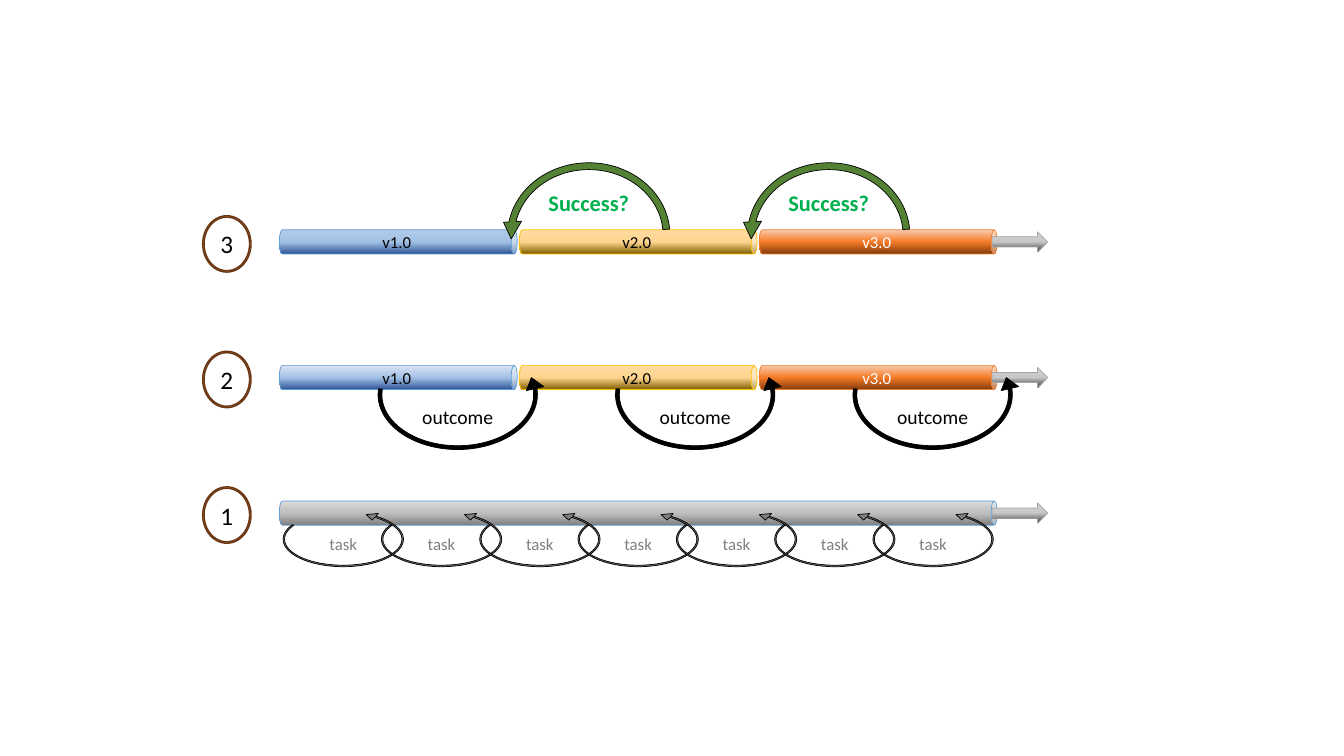
import copy

import pptx
import pptx.dml.color
import pptx.enum.shapes
import pptx.enum.text
import pptx.oxml.ns
import pptx.util

RGBColor = pptx.dml.color.RGBColor
Inches = pptx.util.Inches
Pt = pptx.util.Pt
SHAPES = pptx.enum.shapes.MSO_SHAPE
ANCHOR = pptx.enum.text.MSO_ANCHOR

BLACK = RGBColor(0x00, 0x00, 0x00)
WHITE = RGBColor(0xFF, 0xFF, 0xFF)
GRAY = RGBColor(0x80, 0x80, 0x80)
SILVER = RGBColor(0xA5, 0xA5, 0xA5)
BLUE = RGBColor(0x5B, 0x9B, 0xD5)
GOLD = RGBColor(0xFF, 0xC0, 0x00)
ORANGE = RGBColor(0xED, 0x7D, 0x31)
BROWN = RGBColor(0x68, 0x37, 0x15)
DARK_GREEN = RGBColor(0x54, 0x82, 0x35)
GREEN = RGBColor(0x00, 0xB0, 0x50)


def gradient(*codes):
    return [RGBColor.from_string(code) for code in codes]


BLUE_SHADES = gradient("B1CBE9", "A3C1E5", "2F5597")
PALE_BLUE_SHADES = gradient("DAE3F3", "A3C1E5", "2F5597")
GOLD_SHADES = gradient("FFDB9E", "FFD590", "806000")
ORANGE_SHADES = gradient("F8CBAD", "F67B28", "843C0B")
GRAY_SHADES = gradient("D9D9D9", "BFBFBF", "808080")
ARROW_SHADES = gradient("D2D2D2", "C8C8C8", "3B3838")

LATER_VERSIONS = [("v2.0", GOLD_SHADES, GOLD, BLACK),
                  ("v3.0", ORANGE_SHADES, ORANGE, WHITE)]
# From top to bottom: number, pipes as (label, shades, outline, text colour)
ROWS = [
    ("3", [("v1.0", BLUE_SHADES, BLUE, BLACK)] + LATER_VERSIONS),
    ("2", [("v1.0", PALE_BLUE_SHADES, BLUE, BLACK)] + LATER_VERSIONS),
    ("1", [("", GRAY_SHADES, BLUE, BLACK)]),
]
# Loops of each row: text, count, first left, pitch, top, width, height,
# adjustments, fill, text format
LOOPS = {
    "3": ("Success?", 2, 4.98, 2.38, 1.56, 1.72, 1.54,
          (0.044, 7.624, 210.178, 110.413, 0.058), DARK_GREEN,
          dict(size=16, color=GREEN, bold=True, anchor=ANCHOR.TOP)),
    "2": ("outcome", 3, 3.68, 2.355, 3.3, 1.72, 1.23,
          (0.031, 5.145, 110.651, 213.501, 0.072), BLACK,
          dict(size=14, color=BLACK, anchor=ANCHOR.BOTTOM)),
    "1": ("task", 7, 2.77, 0.975, 5.04, 1.27, 0.62,
          (0.024, 7.269, 129.051, 206.522, 0.073), GRAY,
          dict(size=12, color=GRAY, anchor=ANCHOR.BOTTOM)),
}
FIRST_ROW_CENTER, ROW_PITCH = 2.4, 1.345
PIPE_LEFT, PIPES_WIDTH, PIPE_GAP, PIPE_HEIGHT = 2.77, 7.12, 0.02, 0.24


def add_shape(slide, kind, left, top, width, height, fill, outline, line_width=0.5):
    """Add a preset shape; a list of colours as fill makes an even gradient."""
    shape = slide.shapes.add_shape(
        kind, Inches(left), Inches(top), Inches(width), Inches(height))
    shape.shadow.inherit = False
    shape.line.color.rgb = outline
    shape.line.width = Pt(line_width)
    if isinstance(fill, list):
        shape.fill.gradient()
        stop_list = shape.element.spPr.find(".//" + pptx.oxml.ns.qn("a:gsLst"))
        stop_list.append(copy.deepcopy(stop_list[-1]))
        for index, stop in enumerate(shape.fill.gradient_stops):
            stop.position = index / 2
            stop.color.rgb = fill[index]
        shape.fill.gradient_angle = 0
    else:
        shape.fill.solid()
        shape.fill.fore_color.rgb = fill
    return shape


def write_text(shape, text, *, size, color, bold=False, anchor=ANCHOR.MIDDLE):
    frame = shape.text_frame
    frame.word_wrap = False
    frame.vertical_anchor = anchor
    paragraph = frame.paragraphs[0]
    paragraph.alignment = pptx.enum.text.PP_ALIGN.CENTER
    run = paragraph.add_run()
    run.text = text
    run.font.name = "Calibri"
    run.font.size = Pt(size)
    run.font.bold = bold
    run.font.color.rgb = color


def add_pipe(slide, left, center, length, label, shades, outline, text_color):
    """Add a can turned on its side, with its label kept upright."""
    pipe = add_shape(slide, SHAPES.CAN, left + (length - PIPE_HEIGHT) / 2,
                     center - length / 2, PIPE_HEIGHT, length, shades, outline)
    pipe.rotation = 90
    if label:
        write_text(pipe, label, size=12, color=text_color)
        pipe.text_frame._txBody.bodyPr.set("vert", "vert270")


def add_loops(slide, text, count, left, pitch, top, width, height,
              adjustments, fill, text_format):
    for index in range(count):
        loop = add_shape(slide, SHAPES.CIRCULAR_ARROW, left + index * pitch,
                         top, width, height, fill, BLACK)
        for position, value in enumerate(adjustments):
            loop.adjustments[position] = value
        loop.element.spPr.xfrm.set("flipH", "1")
        write_text(loop, text, **text_format)


def add_row(slide, center, number, pipes):
    length = (PIPES_WIDTH - PIPE_GAP * (len(pipes) - 1)) / len(pipes)
    for index, pipe in enumerate(pipes):
        add_pipe(slide, PIPE_LEFT + index * (length + PIPE_GAP), center, length, *pipe)
    arrow = add_shape(slide, SHAPES.RIGHT_ARROW, 9.84, center - 0.1, 0.55, 0.2,
                      ARROW_SHADES, SILVER)
    arrow.fill.gradient_angle = 270
    add_loops(slide, *LOOPS[number])
    ring = add_shape(slide, SHAPES.DONUT, 2.01, center - 0.26, 0.48, 0.56,
                     ORANGE, BROWN, line_width=1)
    ring.adjustments[0] = 0.03
    write_text(ring, number, size=18, color=BLACK)


def main():
    presentation = pptx.Presentation()
    presentation.slide_width = Inches(13.33)
    presentation.slide_height = Inches(7.5)
    slide = presentation.slides.add_slide(presentation.slide_layouts[6])
    for index, (number, pipes) in enumerate(ROWS):
        add_row(slide, FIRST_ROW_CENTER + index * ROW_PITCH, number, pipes)
    presentation.save("out.pptx")


if __name__ == "__main__":
    main()
